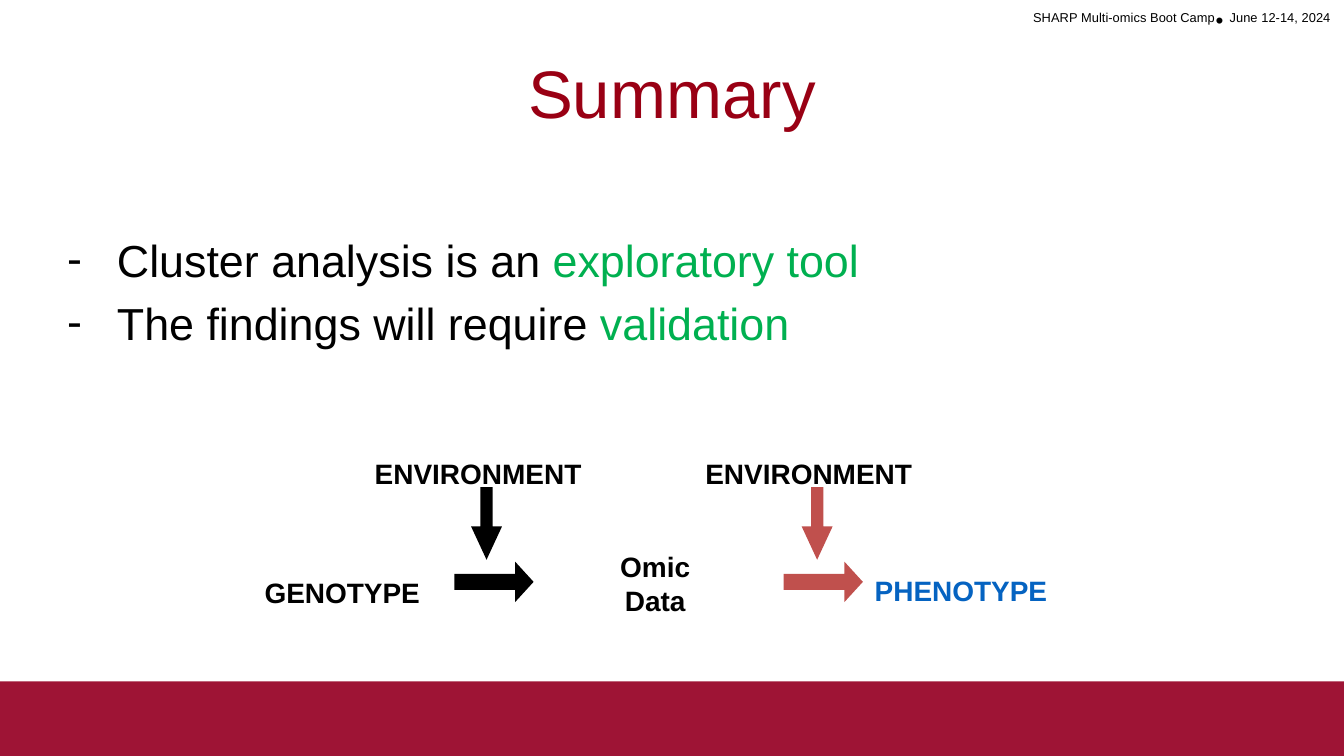
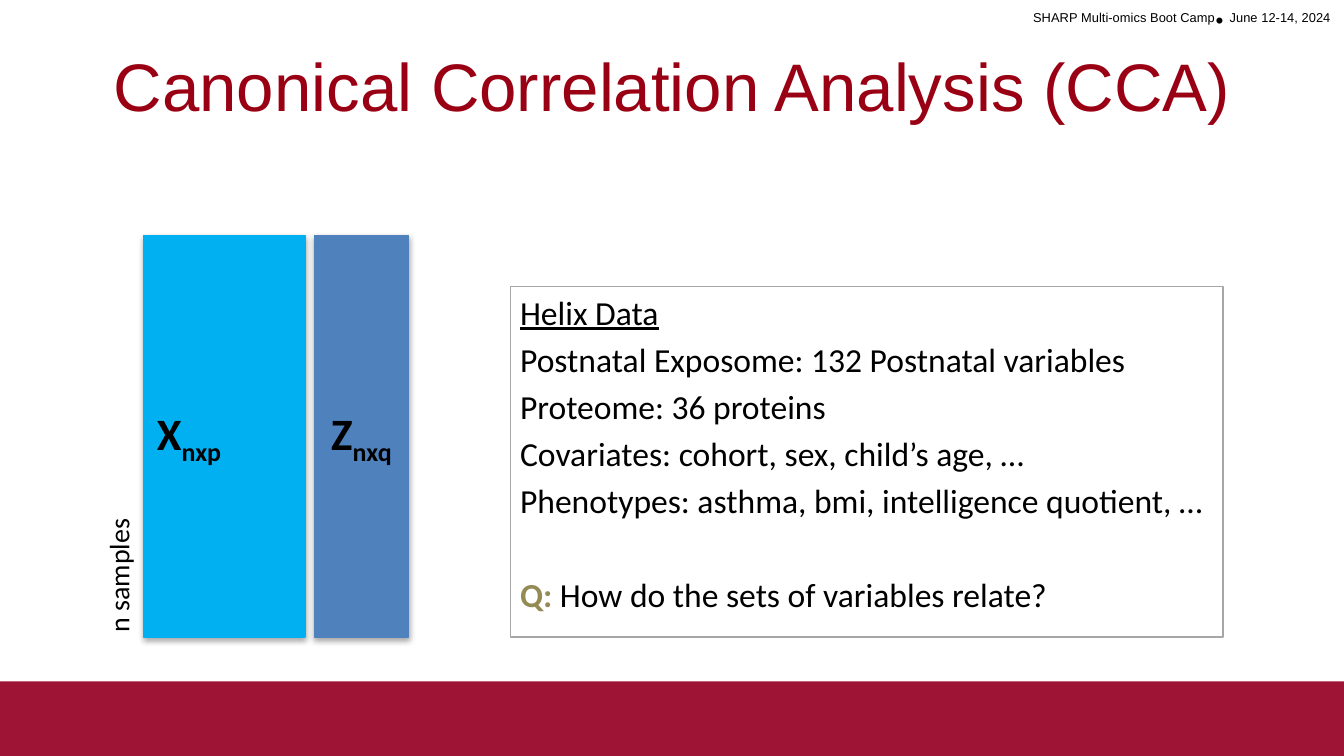
from lxml import etree
from pptx import Presentation
from pptx.dml.color import RGBColor
from pptx.enum import shapes, text
from pptx.oxml import ns
from pptx.util import Inches, Pt

CRIMSON = RGBColor(0x9E, 0x14, 0x35)
TITLE_RED = RGBColor(0x99, 0x00, 0x14)
BLACK = RGBColor(0x00, 0x00, 0x00)
GREEN = RGBColor(0x00, 0xB0, 0x50)
LINK_BLUE = RGBColor(0x05, 0x63, 0xC1)
BRICK = RGBColor(0xC0, 0x50, 0x4D)
GREY = RGBColor(0xA6, 0xA6, 0xA6)
OLIVE = RGBColor(0x94, 0x8A, 0x54)
SKY = RGBColor(0x00, 0xB0, 0xF0)
STEEL = RGBColor(0x4F, 0x81, 0xBD)
LEFT, CENTER, RIGHT = text.PP_ALIGN.LEFT, text.PP_ALIGN.CENTER, text.PP_ALIGN.RIGHT


def box(*lengths):
    return [Inches(length) for length in lengths]


def write(paragraph, pieces, size, font="Arial", color=BLACK, bold=False, align=LEFT):
    paragraph.alignment = align
    paragraph.font.name = font
    paragraph.font.size = Pt(size)
    paragraph.font.bold = bold
    paragraph.font.color.rgb = color
    runs = []
    for piece in pieces:
        run = paragraph.add_run()
        run.text = piece
        runs.append(run)
    return runs


deck = Presentation()
deck.slide_width = Inches(10)
deck.slide_height = deck.slide_width * 9 // 16
summary = deck.slides.add_slide(deck.slide_layouts[1])
cca = deck.slides.add_slide(deck.slide_layouts[5])

band = summary.shapes.add_shape(shapes.MSO_SHAPE.RECTANGLE, *box(0, 5.07, 10.01, 0.57))
band.shadow.inherit = False
band.fill.solid()
band.fill.fore_color.rgb = CRIMSON
band.line.fill.background()
event = summary.shapes.add_textbox(*box(6.04, 0, 3.96, 0.3))
event.text_frame.word_wrap = True
event_runs = write(event.text_frame.paragraphs[0],
                   ["SHARP Multi-omics Boot Camp", "• ", "June 12-14, 2024"], 12, align=RIGHT)
for raised in event_runs[::2]:
    raised.font._element.set("baseline", "30000")
for shared in (band, event):
    deck.slide_master.shapes.element.append(shared.element)

for slide, heading, top, anchor, inset in [
    (summary, "Summary", 0.21, text.MSO_ANCHOR.MIDDLE, 0.05),
    (cca, "Canonical Correlation Analysis (CCA)", 0.23, text.MSO_ANCHOR.TOP, 0.1),
]:
    title = slide.shapes.title
    title.left, title.top, title.width, title.height = box(0.5, top, 9, 0.94)
    title.text_frame.vertical_anchor = anchor
    title.text_frame.margin_top = Inches(inset)
    write(title.text_frame.paragraphs[0], [heading], 36, color=TITLE_RED, align=CENTER)

findings = summary.placeholders[1]
findings.left, findings.top, findings.width, findings.height = box(0.4, 1.28, 9.5, 3.75)
for index, (lead, stress, spacing, before) in enumerate([
    ("Cluster analysis is an ", "exploratory tool", 2.0, 0),
    ("The findings will require ", "validation", 1.0, 5),
]):
    frame = findings.text_frame
    finding = frame.add_paragraph() if index else frame.paragraphs[0]
    properties = finding._p.get_or_add_pPr()
    properties.set("marL", str(Inches(0.37)))
    properties.set("indent", str(-Inches(0.37)))
    etree.SubElement(properties, ns.qn("a:buChar"), char="-")
    finding.line_spacing = spacing
    finding.space_before = Pt(before)
    write(finding, [lead, stress], 24)[1].font.color.rgb = GREEN

for lines, place, color, align in [
    (["GENOTYPE"], (1.87, 4.23, 1.37, 0.35), BLACK, LEFT),
    (["Omic", "Data"], (4.07, 4.04, 1.61, 0.61), BLACK, CENTER),
    (["PHENOTYPE"], (6.41, 4.22, 1.5, 0.35), LINK_BLUE, LEFT),
    (["ENVIRONMENT"], (2.69, 3.35, 1.76, 0.35), BLACK, LEFT),
    (["ENVIRONMENT"], (5.15, 3.35, 1.76, 0.35), BLACK, LEFT),
]:
    frame = summary.shapes.add_textbox(*box(*place)).text_frame
    frame.word_wrap = align == CENTER
    for index, line in enumerate(lines):
        paragraph = frame.add_paragraph() if index else frame.paragraphs[0]
        write(paragraph, [line], 15, color=color, bold=True, align=align)

for place, turn, head, color in [
    ((3.38, 4.18, 0.59, 0.3), 0, 0.456, BLACK),
    ((5.83, 4.18, 0.59, 0.3), 0, 0.456, BRICK),
    ((3.35, 3.78, 0.54, 0.23), 90, 1.077, BLACK),
    ((5.81, 3.78, 0.54, 0.23), 90, 1.077, BRICK),
]:
    arrow = summary.shapes.add_shape(shapes.MSO_SHAPE.RIGHT_ARROW, *box(*place))
    arrow.shadow.inherit = False
    arrow.rotation = turn
    arrow.adjustments[0] = 0.398
    arrow.adjustments[1] = head
    arrow.fill.solid()
    arrow.fill.fore_color.rgb = color
    arrow.line.fill.background()

helix = cca.shapes.add_shape(shapes.MSO_SHAPE.RECTANGLE, *box(3.8, 2.13, 5.3, 2.61))
helix.shadow.inherit = False
helix.fill.background()
helix.line.color.rgb = GREY
helix.line.width = Pt(0.75)
frame = helix.text_frame
frame.word_wrap = True
frame.vertical_anchor = text.MSO_ANCHOR.TOP
frame.margin_left = frame.margin_right = Inches(0.07)
frame.margin_top = frame.margin_bottom = Inches(0.04)
for index, (pieces, before) in enumerate([
    (["Helix Data"], 0),
    (["Postnatal Exposome: 132 Postnatal variables"], 3.6),
    (["Proteome: 36 proteins"], 3.6),
    (["Covariates: cohort, sex, child’s age, …"], 3.6),
    (["Phenotypes: asthma, bmi, intelligence quotient, …"], 3.6),
    (["Q: ", "How do the sets of variables relate?"], 28.8),
]):
    paragraph = frame.add_paragraph() if index else frame.paragraphs[0]
    paragraph.space_before = Pt(before)
    first = write(paragraph, pieces, 18, font="Calibri")[0]
    if index == 0:
        paragraph.font.underline = True
    if len(pieces) == 2:
        first.font.bold = True
        first.font.color.rgb = OLIVE

for symbol, size, left, width, color, align in [
    ("X", "nxp", 1.07, 1.2, SKY, LEFT),
    ("Z", "nxq", 2.34, 0.7, STEEL, CENTER),
]:
    matrix = cca.shapes.add_shape(shapes.MSO_SHAPE.RECTANGLE, *box(left, 1.75, width, 2.99))
    matrix.fill.solid()
    matrix.fill.fore_color.rgb = color
    matrix.line.color.rgb = color
    matrix.line.width = Pt(0.75)
    matrix.text_frame.vertical_anchor = text.MSO_ANCHOR.MIDDLE
    subscript = write(matrix.text_frame.paragraphs[0], [symbol, size], 24,
                      font="Calibri", bold=True, align=align)[1]
    subscript.font._element.set("baseline", "-25000")

samples = cca.shapes.add_textbox(*box(0.35, 4.1, 1.06, 0.35))
samples.rotation = 270
samples.text_frame.word_wrap = False
write(samples.text_frame.paragraphs[0], ["n samples"], 15, font="Calibri")

deck.save("out.pptx")
